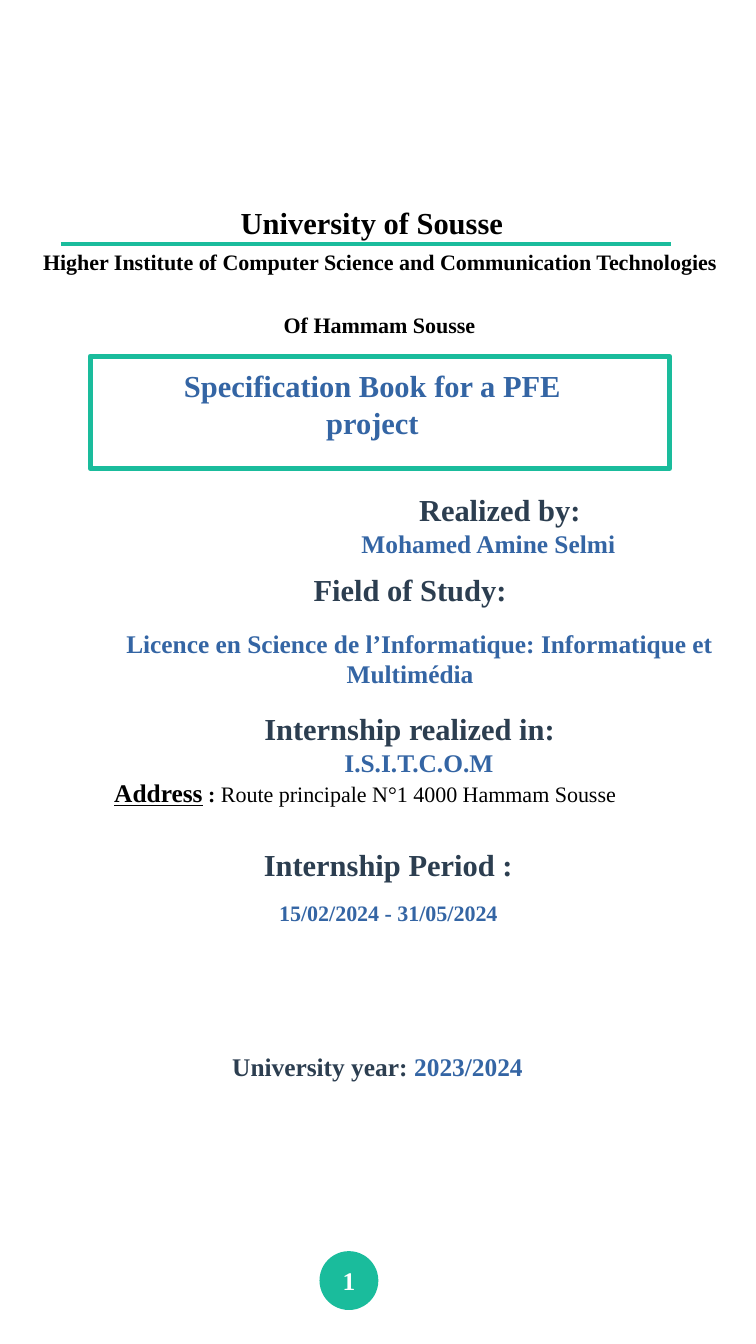
from lxml.etree import SubElement
from pptx import Presentation
from pptx.dml.color import RGBColor
from pptx.enum.shapes import MSO_CONNECTOR as Connector, MSO_SHAPE as Shape
from pptx.enum.text import MSO_ANCHOR as Anchor, MSO_AUTO_SIZE as AutoSize, PP_ALIGN as Align
from pptx.oxml.ns import qn
from pptx.util import Cm, Pt

FONT = "Times New Roman"
COLORS = {
    "green": "1ABC9C",
    "blue": "3465A4",
    "slate": "2C3E50",
    "black": "000000",
    "white": "FFFFFF",
}


def rgb(name):
    return RGBColor.from_string(COLORS[name])


def add_span(para, text, size=15, color="black", bold=True, underline=False):
    span = para.add_run()
    span.text = text
    span.font.name = FONT
    span.font.size = Pt(size)
    span.font.bold = bold
    span.font.underline = underline
    span.font.color.rgb = rgb(color)


def add_text(frame, text, align=Align.CENTER, indent=0, first=0, before=0, after=0, **style):
    """Write one paragraph; text is a string or a list of (text, style) spans."""
    para = frame.paragraphs[0]
    if para.runs:
        para = frame.add_paragraph()
    para.alignment = align
    para.space_before, para.space_after = Pt(before), Pt(after)
    properties = para._p.get_or_add_pPr()
    properties.set("marL", str(Cm(indent)))
    properties.set("indent", str(Cm(first)))
    spans = [(text, {})] if isinstance(text, str) else text
    for words, own_style in spans:
        add_span(para, words, **{**style, **own_style})


def prepare_frame(shape, wrap=True):
    frame = shape.text_frame
    frame.word_wrap = wrap
    frame.auto_size = AutoSize.NONE
    frame.vertical_anchor = Anchor.MIDDLE
    return frame


def add_box(page, left, top, width, height):
    box = page.shapes.add_textbox(Cm(left), Cm(top), Cm(width), Cm(height))
    return prepare_frame(box)


def set_title(page, text, left, top, width, height):
    title = page.shapes.title
    title.left, title.top = Cm(left), Cm(top)
    title.width, title.height = Cm(width), Cm(height)
    add_text(prepare_frame(title, wrap=False), text, size=18, color="blue")


def add_outline(page, kind, left, top, width, height, fill=None):
    shape = page.shapes.add_shape(kind, Cm(left), Cm(top), Cm(width), Cm(height))
    shape.shadow.inherit = False
    if fill:
        shape.fill.solid()
        shape.fill.fore_color.rgb = rgb(fill)
    else:
        shape.fill.background()
    shape.line.color.rgb = rgb("green")
    shape.line.width = Pt(3)
    return shape


def add_rule(page, left, right, y):
    rule = page.shapes.add_connector(Connector.STRAIGHT, Cm(left), Cm(y), Cm(right), Cm(y))
    rule.line.color.rgb = rgb("green")
    rule.line.width = Pt(2.3)
    SubElement(rule._element.spPr, qn("a:effectLst"))


def main():
    deck = Presentation()
    deck.slide_width, deck.slide_height = Cm(15.75), Cm(27.99)
    page = deck.slides.add_slide(deck.slide_layouts[5])
    heading = {"size": 18, "color": "slate"}

    # University and institute
    add_text(add_box(page, 4.45, 3.81, 6.6, 1.65), "University of Sousse", size=18)
    add_rule(page, 1.27, 13.97, 5.08)
    institute = add_box(page, 0.14, 5.26, 15.53, 1.68)
    add_text(institute, "Higher Institute of Computer Science and Communication Technologies",
             size=13, after=9.9)
    add_text(institute, "Of Hammam Sousse", size=13, before=11.9)

    # Framed title
    set_title(page, "Specification Book for a PFE project", 2.54, 7.92, 10.44, 0.97)
    add_outline(page, Shape.RECTANGLE, 1.88, 7.42, 12.07, 2.34)

    # Author
    author = add_box(page, 0.74, 9.86, 14.88, 2.13)
    add_text(author, "Realized by:", indent=4.47, **heading)
    add_text(author, "Mohamed Amine Selmi", indent=3.99, color="blue")

    # Field of study
    field = add_box(page, -0.23, 11.48, 16.56, 3.28)
    add_text(field, "Field of Study:", indent=0.99, **heading)
    add_text(field, "Licence en Science de l’Informatique: Informatique et Multimédia",
             indent=0.99, first=0.4, before=11.9, color="blue")

    # Internship place
    place = add_box(page, 0.86, 14.5, 13.56, 2.62)
    add_text(place, "Internship realized in:", indent=1.79, **heading)
    add_text(place, "I.S.I.T.C.O.M", indent=2.18, color="blue")
    add_text(place, [
        ("Address", {"underline": True}),
        (" : ", {"size": 13}),
        ("Route principale N°1 4000 Hammam Sousse", {"size": 13, "bold": False}),
    ], align=Align.LEFT, indent=1.27)

    # Internship period and university year
    period = add_box(page, 4.9, 17.2, 6.38, 2.51)
    add_text(period, "Internship Period :", after=9.9, **heading)
    add_text(period, "15/02/2024 - 31/05/2024", size=13, color="blue")
    add_text(add_box(page, 4.22, 21.51, 7.29, 1.4), [
        ("University year: ", {"color": "slate"}),
        ("2023/2024", {"color": "blue"}),
    ])

    # Page number
    badge = add_outline(page, Shape.OVAL, 6.71, 26.11, 1.12, 1.12, fill="green")
    add_text(prepare_frame(badge, wrap=False), "1", color="white")

    deck.save("out.pptx")


if __name__ == "__main__":
    main()
